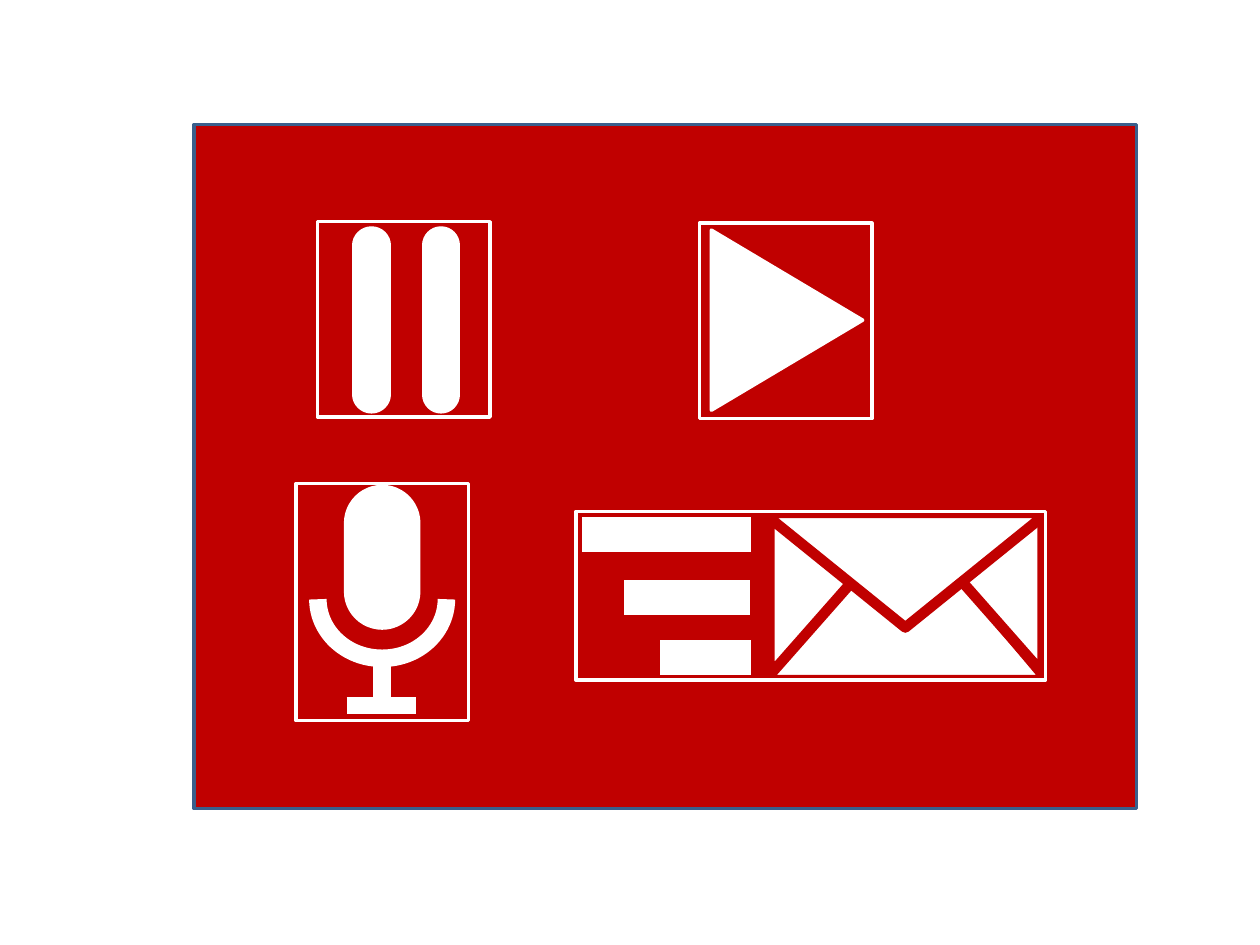
import pptx
import pptx.util
import pptx.dml.color
import pptx.enum.shapes
import pptx.oxml.ns
from lxml import etree

Cm = pptx.util.Cm
Pt = pptx.util.Pt
MSO = pptx.enum.shapes.MSO_SHAPE

COLORS = {"panel": "C00000", "edge": "3A5F8C", "icon": "FFFFFF"}


def rgb(name):
    return pptx.dml.color.RGBColor.from_string(COLORS[name])


def style(sp, fill, line, width):
    sp.shadow.inherit = False
    if fill:
        sp.fill.solid()
        sp.fill.fore_color.rgb = rgb(fill)
    else:
        sp.fill.background()
    sp.line.color.rgb = rgb(line)
    sp.line.width = Pt(width)


def add_shape(shapes, kind, x, y, w, h, fill="icon", line="icon", width=2, rotation=0, adj=None):
    sp = shapes.add_shape(kind, Cm(x), Cm(y), Cm(w), Cm(h))
    style(sp, fill, line, width)
    sp.rotation = rotation
    if adj is not None:
        sp.adjustments[0] = adj


def add_bar(shapes, x1, y1, x2, y2, width, rounded=False):
    bar = shapes.add_connector(pptx.enum.shapes.MSO_CONNECTOR.STRAIGHT, Cm(x1), Cm(y1), Cm(x2), Cm(y2))
    bar.line.color.rgb = rgb("icon")
    bar.line.width = Pt(width)
    if rounded:
        bar.line._get_or_add_ln().set("cap", "rnd")
    etree.SubElement(bar._element.spPr, pptx.oxml.ns.qn("a:effectLst"))


def add_frame(shapes, x, y, w, h):
    add_shape(shapes, MSO.RECTANGLE, x, y, w, h, fill=None)


def add_flap(shapes, x, y, w, h, apex, rotation):
    builder = shapes.build_freeform(Cm(x), Cm(y + h))
    builder.add_line_segments([(Cm(x + apex), Cm(y)), (Cm(x + w), Cm(y + h))], close=True)
    sp = builder.convert_to_shape()
    style(sp, "icon", "panel", 6)
    sp.rotation = rotation


def pause_icon(shapes, x, y, w, h):
    for dx in (1.09, 2.49):
        add_bar(shapes, x + dx, y + 0.48, x + dx, y + 3.48, 22, rounded=True)
    add_frame(shapes, x, y, w, h)


def play_icon(shapes, x, y, w, h):
    add_shape(shapes, MSO.ISOSCELES_TRIANGLE, x - 0.05, y + 0.43, 3.63, 3.05, rotation=90)
    add_frame(shapes, x, y, w, h)


def microphone_icon(shapes, x, y, w, h):
    add_shape(shapes, MSO.ROUNDED_RECTANGLE, x + 1.14, y + 0.2, 1.19, 2.57, width=10, adj=0.5)
    add_shape(shapes, MSO.LEFT_BRACKET, x + 1.14, y + 1.63, 1.19, 2.59,
              fill=None, width=10, rotation=270, adj=1.083)
    add_bar(shapes, x + 1.73, y + 4.37, x + 1.73, y + 3.53, 10)
    add_bar(shapes, x + 1.02, y + 4.47, x + 2.41, y + 4.47, 10)
    add_frame(shapes, x, y, w, h)


def envelope(shapes, x, y, w, h):
    parts = shapes.add_group_shape().shapes
    add_shape(parts, MSO.ISOSCELES_TRIANGLE, x, y, w, h, line="panel", width=6)
    add_flap(parts, x - 0.53, y + 0.81, 3.15, 1.85, 1.05, 90)
    add_flap(parts, x + 3.13, y + 0.76, 3.15, 1.85, 2.1, 270)
    add_shape(parts, MSO.ISOSCELES_TRIANGLE, x, y + 0.03, w, 2.31, line="panel", width=6, rotation=180)


def mail_icon(shapes, x, y, w, h):
    envelope(shapes, x + 3.78, y, 5.72, h)
    for start, end, dy in ((0.13, 3.53, 0.46), (0.97, 3.5, 1.73), (1.7, 3.53, 2.95)):
        add_bar(shapes, x + start, y + dy, x + end, y + dy, 20)
    add_frame(shapes, x, y, w, h)


def main():
    prs = pptx.Presentation()
    prs.slide_width, prs.slide_height = Cm(25.4), Cm(19.05)
    shapes = prs.slides.add_slide(prs.slide_layouts[6]).shapes
    add_shape(shapes, MSO.RECTANGLE, 3.91, 2.51, 19, 13.79, fill="panel", line="edge")
    pause_icon(shapes, 6.4, 4.47, 3.48, 3.94)
    play_icon(shapes, 14.1, 4.5, 3.48, 3.94)
    microphone_icon(shapes, 5.97, 9.75, 3.48, 4.78)
    mail_icon(shapes, 11.61, 10.31, 9.47, 3.4)
    prs.save("out.pptx")


if __name__ == "__main__":
    main()
